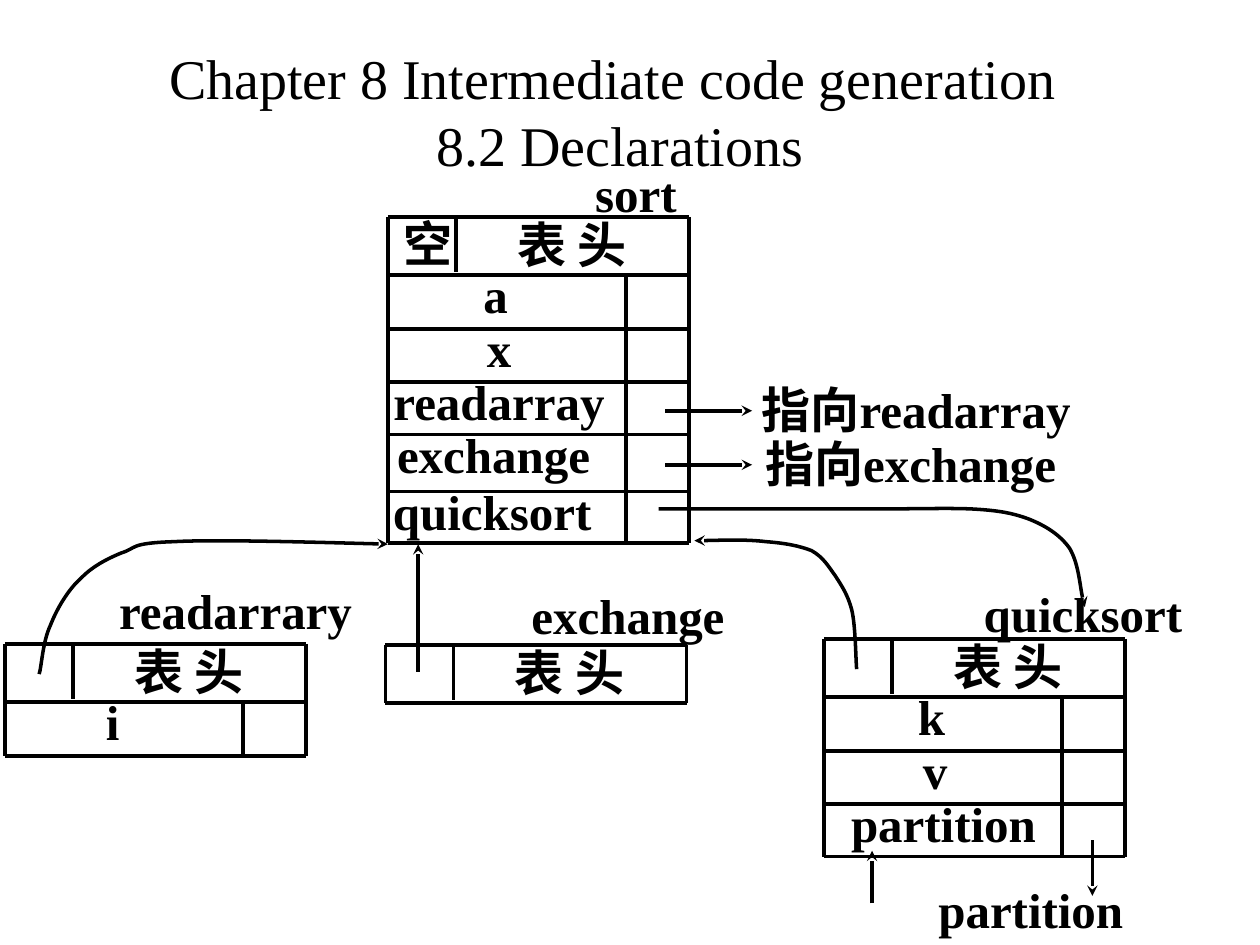
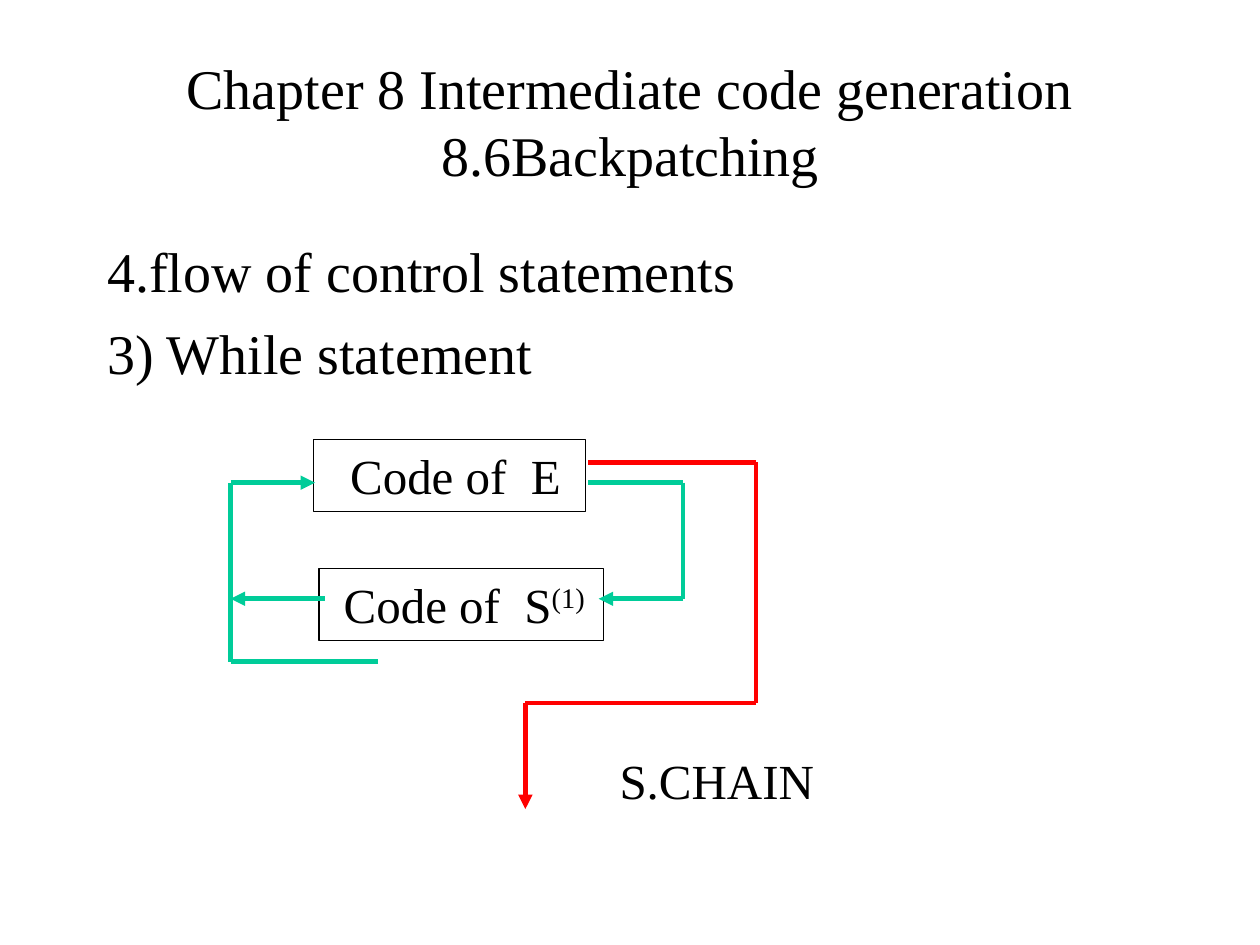
from itertools import pairwise
from lxml import etree
from pptx import Presentation, util as u
from pptx.dml.color import RGBColor
from pptx.enum import shapes, text
from pptx.oxml.ns import qn

FONT, BLACK, RED, GREEN = "Times New Roman", "000000", "FF0000", "00CC99"

TITLES = [
    ("Chapter 8 Intermediate code generation \v8.2 Declarations", (1.7, 0.64, 21.59, 3.18)),
    ("Chapter 8 Intermediate code generation 8.6Backpatching", (1.91, 0.43, 21.59, 4.01)),
]

ROW_OFFSETS = [0, 1.17, 2.26, 3.33, 4.39, 5.54, 6.58]
TABLE_WIDTH, LINK_SPLIT, VALUE_SPLIT = 6.07, 1.37, 4.8
SYMBOL_TABLES = [
    {"name": "sort", "at": (7.82, 4.37), "caption": (5.0, -1.19),
     "fields": [("a", 2.17), ("x", 2.24), ("readarray", 2.24), ("exchange", 2.13), ("quicksort", 2.1)]},
    {"name": "quicksort", "at": (16.61, 12.88), "caption": (5.22, -1.24),
     "fields": [("k", 2.17), ("v", 2.24), ("partition", 2.41)]},
    {"name": "readarrary", "at": (0.1, 12.98), "caption": (4.65, -1.4),
     "fields": [("i", 2.17)]},
    {"name": "exchange", "at": (7.77, 13.0), "caption": (4.89, -1.32),
     "fields": []},
]
NOTES = [
    ("空", 8.6, 4.17, 1.45),
    ("指向readarray", 18.47, 7.52, 7.52),
    ("指向exchange", 18.36, 8.61, 7.26),
    ("partition", 20.78, 17.6, 4.32),
]
POINTERS = [
    [(8.43, 13.54), (8.43, 10.97)],
    [(22.02, 16.94), (22.02, 18.06)],
    [(13.41, 9.37), (15.16, 9.37)],
    [(13.41, 8.28), (15.16, 8.28)],
    [(17.58, 18.21), (17.58, 17.15)],
]
CURVED_POINTERS = [
    [(0.79, 13.59), (0.84, 13.44), (0.86, 12.93), (1.02, 12.6),
     (1.14, 12.29), (1.37, 11.89), (1.63, 11.66), (1.85, 11.43), (2.13, 11.28), (2.44, 11.15),
     (2.77, 11.05), (2.59, 10.95), (3.51, 10.92), (4.39, 10.87), (6.93, 10.95), (7.82, 10.97)],
    [(17.27, 13.49), (17.25, 13.28), (17.25, 12.62), (17.17, 12.29),
     (17.09, 11.99), (16.97, 11.81), (16.84, 11.61), (16.69, 11.4), (16.59, 11.23), (16.36, 11.1),
     (16.1, 11.0), (15.82, 10.95), (15.44, 10.92), (15.04, 10.87), (14.3, 10.9), (14.0, 10.9)],
    [(13.28, 10.26), (14.0, 10.26), (16.54, 10.26), (17.58, 10.26),
     (18.62, 10.26), (19.05, 10.24), (19.58, 10.26), (20.12, 10.29), (20.4, 10.34), (20.73, 10.46),
     (21.06, 10.59), (21.36, 10.77), (21.56, 11.05), (21.74, 11.35), (21.79, 12.01), (21.87, 12.24)],
]

STATEMENTS = ["4.flow of control statements", "3) While statement"]
CODE_BLOCKS = [
    ((6.32, 8.86, 5.49, 1.45), 0.74, "E", ""),
    ((6.43, 11.46, 5.74, 1.45), 0.5, "S", "(1)"),
]
FLOWS = [
    (RED, True, [(11.86, 9.32), (15.24, 9.32), (15.24, 14.17), (10.59, 14.17), (10.59, 16.31)]),
    (GREEN, True, [(11.86, 9.73), (13.77, 9.73), (13.77, 12.07), (12.07, 12.07)]),
    (GREEN, True, [(6.55, 12.07), (4.65, 12.07)]),
    (GREEN, True, [(7.62, 13.34), (4.65, 13.34), (4.65, 9.73), (6.35, 9.73)]),
]


def rgb(color):
    return RGBColor.from_string(color)


def cm(values):
    return [u.Cm(value) for value in values]


def add_run(paragraph, words, size, bold=False):
    run = paragraph.add_run()
    run.text = words
    font = run.font
    font.name, font.size, font.bold = FONT, u.Pt(size), bold
    font.color.rgb = rgb(BLACK)
    return run


def add_label(slide, words, box, size=28, bold=False, centred=True, middle=False):
    frame = slide.shapes.add_textbox(*cm(box)).text_frame
    frame.word_wrap = True
    if middle:
        frame.vertical_anchor = text.MSO_ANCHOR.MIDDLE
    paragraph = frame.paragraphs[0]
    paragraph.alignment = text.PP_ALIGN.CENTER if centred else text.PP_ALIGN.LEFT
    for number, part in enumerate(words.split("\v")):
        if number:
            paragraph.add_line_break()
        add_run(paragraph, part, size, bold)
    return frame


def add_bold_label(slide, words, centre, top, width):
    add_label(slide, words, (centre - width / 2, top, width, 1.35), bold=True)


def style_line(shape, color, width, head=None):
    shape.line.color.rgb = rgb(color)
    shape.line.width = u.Pt(width)
    if head:
        etree.SubElement(shape.line._get_or_add_ln(), qn("a:tailEnd"), type=head)


def add_line(slide, start, end, color=BLACK, width=2, head=None):
    line = slide.shapes.add_connector(shapes.MSO_CONNECTOR.STRAIGHT, *cm(start + end))
    style_line(line, color, width, head)
    etree.SubElement(line._element.spPr, qn("a:effectLst"))


def add_route(slide, points, color=BLACK, width=2, head=None):
    legs = list(pairwise(points))
    for number, (start, end) in enumerate(legs, 1):
        add_line(slide, start, end, color, width, head if number == len(legs) else None)


def add_curve(slide, points):
    builder = slide.shapes.build_freeform(*cm(points[0]))
    builder.add_line_segments([cm(point) for point in points[1:]], close=False)
    curve = builder.convert_to_shape()
    curve.shadow.inherit = False
    curve.fill.background()
    style_line(curve, BLACK, 2, "stealth")
    steps = list(curve._element.iter(qn("a:lnTo")))
    for first in range(0, len(steps), 3):
        bend = etree.Element(qn("a:cubicBezTo"))
        steps[first].addprevious(bend)
        for step in steps[first:first + 3]:
            bend.append(step[0])
            step.getparent().remove(step)


def add_symbol_table(slide, table):
    left, top = table["at"]
    fields = table["fields"]
    right = left + TABLE_WIDTH
    rows = [top + offset for offset in ROW_OFFSETS[:len(fields) + 2]]
    for y in rows:
        add_line(slide, (left, y), (right, y))
    for x in (left, right):
        add_line(slide, (x, top), (x, rows[-1]))
    add_line(slide, (left + LINK_SPLIT, top + 0.05), (left + LINK_SPLIT, rows[1] - 0.05))
    if fields:
        add_line(slide, (left + VALUE_SPLIT, rows[1] + 0.05), (left + VALUE_SPLIT, rows[-1]))
    centre, rise = table["caption"]
    add_bold_label(slide, table["name"], left + centre, top + rise, 5.2)
    add_bold_label(slide, "表 头", left + 3.71, top - 0.18, 3.76)
    for y, (field, middle) in zip(rows[1:], fields):
        add_bold_label(slide, field, left + middle, y - 0.33, 4.88)


def build_declarations(slide):
    for table in SYMBOL_TABLES:
        add_symbol_table(slide, table)
    for note in NOTES:
        add_bold_label(slide, *note)
    for points in POINTERS:
        add_route(slide, points, head="stealth")
    for points in CURVED_POINTERS:
        add_curve(slide, points)


def add_code_block(slide, box, indent, symbol, index):
    block = slide.shapes.add_shape(shapes.MSO_SHAPE.RECTANGLE, *cm(box))
    block.shadow.inherit = False
    block.fill.background()
    style_line(block, BLACK, 0.75)
    frame = block.text_frame
    frame.word_wrap = False
    frame.vertical_anchor = text.MSO_ANCHOR.TOP
    frame.margin_left = u.Cm(indent)
    paragraph = frame.paragraphs[0]
    paragraph.alignment = text.PP_ALIGN.LEFT
    add_run(paragraph, "Code of", 28)
    gap = add_run(paragraph, " ", 28)
    gap._r.get_or_add_rPr().set("spc", "700")
    add_run(paragraph, symbol, 28)
    if index:
        raised = add_run(paragraph, index, 28)
        raised._r.get_or_add_rPr().set("baseline", "30000")


def build_backpatching(slide):
    first, *others = STATEMENTS
    body = add_label(slide, first, (1.91, 4.65, 21.59, 12.7), 32, centred=False)
    for statement in others:
        paragraph = body.add_paragraph()
        paragraph.space_before = u.Pt(8)
        add_run(paragraph, statement, 32)
    for block in CODE_BLOCKS:
        add_code_block(slide, *block)
    for color, arrow, points in FLOWS:
        add_route(slide, points, color, 2.75, "triangle" if arrow else None)
    add_label(slide, "S.CHAIN", (12.24, 15.01, 4.42, 1.45), centred=False)


def main():
    deck = Presentation()
    deck.slide_width, deck.slide_height = cm((25.4, 19.05))
    for (title, box), build in zip(TITLES, (build_declarations, build_backpatching)):
        slide = deck.slides.add_slide(deck.slide_layouts[6])
        add_label(slide, title, box, 32, middle=True)
        build(slide)
    deck.save("out.pptx")


if __name__ == "__main__":
    main()
